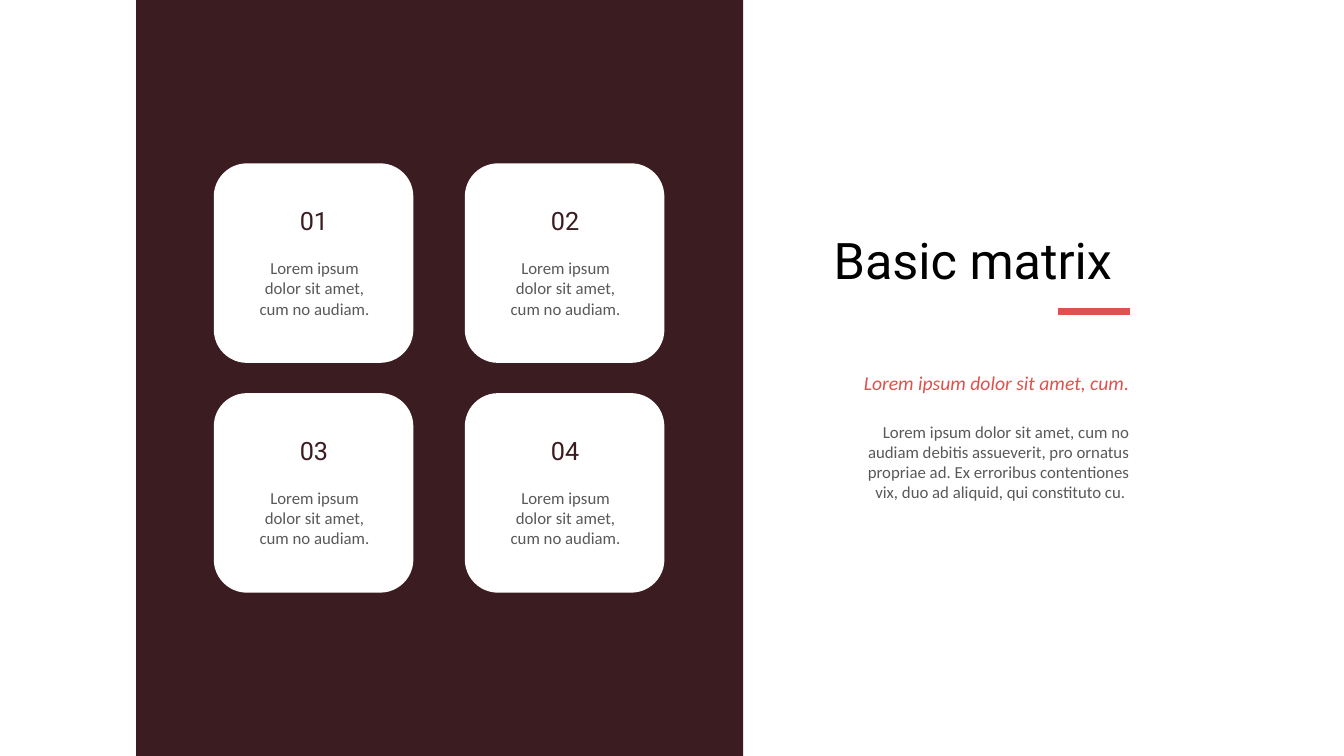
from lxml import etree
from pptx import Presentation
from pptx.dml.color import RGBColor
from pptx.enum.shapes import MSO_CONNECTOR, MSO_SHAPE
from pptx.enum.text import PP_ALIGN
from pptx.oxml.ns import qn
from pptx.util import Inches, Pt

RECT = MSO_SHAPE.RECTANGLE
ROUND = MSO_SHAPE.ROUNDED_RECTANGLE
STRAIGHT = MSO_CONNECTOR.STRAIGHT
LEFT, CENTER, RIGHT = PP_ALIGN.LEFT, PP_ALIGN.CENTER, PP_ALIGN.RIGHT

COLORS = {
    "white": "FFFFFF",
    "black": "000000",
    "wine": "3B1C20",
    "red": "DD524D",
    "gray": "595959",
}
HEAD, BODY = "Roboto", "Calibri"
CARD = "Lorem ipsum dolor sit amet, cum no audiam."
LEAD = "Lorem ipsum dolor sit amet, cum."
DETAIL = (
    "Lorem ipsum dolor sit amet, cum no audiam debitis assueverit, "
    "pro ornatus propriae ad. Ex erroribus contentiones vix, "
    "duo ad aliquid, qui constituto cu. "
)


def color(name):
    return RGBColor.from_string(COLORS[name])


def add_block(slide, kind, box, fill):
    block = slide.shapes.add_shape(kind, *map(Inches, box))
    block.shadow.inherit = False
    block.fill.solid()
    block.fill.fore_color.rgb = color(fill)
    block.line.fill.background()


def add_text(slide, box, text, font, size, tint, align, italic=False, lead=1.0):
    frame = slide.shapes.add_textbox(*map(Inches, box)).text_frame
    frame.word_wrap = True
    frame.text = text
    para = frame.paragraphs[0]
    para.alignment = align
    para.line_spacing = lead
    style = para.runs[0].font
    style.name = font
    style.size = Pt(size)
    style.italic = italic
    style.color.rgb = color(tint)


def add_rule(slide, start, end, tint, width):
    rule = slide.shapes.add_connector(STRAIGHT, *map(Inches, start + end))
    rule.line.color.rgb = color(tint)
    rule.line.width = Pt(width)
    etree.SubElement(rule._element.spPr, qn("a:effectLst"))


def add_card(slide, left, top, label):
    add_block(slide, ROUND, (left, top, 1.98, 1.98), "white")
    add_text(slide, (left + 0.36, top + 0.37, 1.27, 0.4), label,
             HEAD, 18, "wine", CENTER)
    add_text(slide, (left + 0.27, top + 0.89, 1.46, 0.71), CARD,
             BODY, 12, "gray", CENTER)


def main():
    deck = Presentation()
    deck.slide_width, deck.slide_height = Inches(13.33), Inches(7.5)
    slide = deck.slides.add_slide(deck.slide_layouts[6])

    add_block(slide, RECT, (1.35, 0, 6.02, 7.5), "wine")
    for index in range(4):
        row, col = divmod(index, 2)
        add_card(slide, 2.12 + col * 2.49, 1.62 + row * 2.28, f"{index + 1:02}")

    add_text(slide, (8.17, 2.29, 3.46, 1.62), "Basic matrix",
             HEAD, 36, "black", LEFT, lead=0.9)
    add_rule(slide, (10.49, 3.09), (11.21, 3.09), "red", 4.5)
    add_text(slide, (7.58, 3.63, 3.72, 0.34), LEAD,
             BODY, 14, "red", RIGHT, italic=True)
    add_text(slide, (8.4, 4.13, 2.9, 0.91), DETAIL, BODY, 12, "gray", RIGHT)
    deck.save("out.pptx")


if __name__ == "__main__":
    main()
